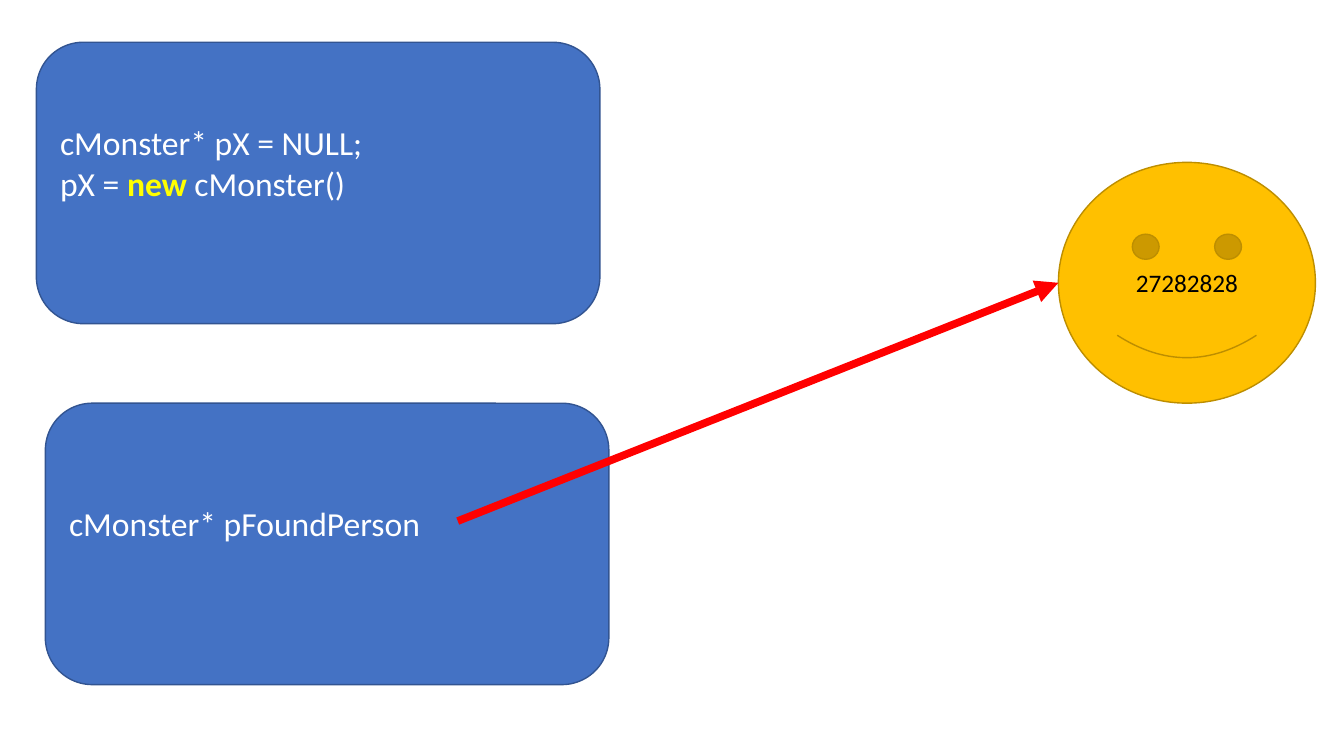
from lxml.etree import SubElement
from pptx import Presentation
from pptx.dml.color import RGBColor
from pptx.enum.shapes import MSO_CONNECTOR, MSO_SHAPE
from pptx.enum.text import MSO_ANCHOR, PP_ALIGN
from pptx.oxml.ns import qn
from pptx.util import Pt

WHITE, YELLOW, BLACK, RED = "FFFFFF", "FFFF00", "000000", "FF0000"
BLUE, DARK_BLUE, GOLD, DARK_GOLD = "4472C4", "325491", "FFC000", "BD8E00"
CODE_SIZE = 24
CODE_LIFT = 29.3  # one line of code, keeps the text above the middle


def set_color(color_format, hex_string):
    """Give a colour format the colour of a hex string."""
    color_format.rgb = RGBColor.from_string(hex_string)


def add_labelled_shape(kind, box, fill, outline, lines, size, alignment, lift):
    """Add a filled shape whose lines are lists of (text, colour, bold)."""
    shape = slide.shapes.add_shape(kind, *[Pt(length) for length in box])
    shape.shadow.inherit = False
    shape.fill.solid()
    set_color(shape.fill.fore_color, fill)
    set_color(shape.line.color, outline)
    shape.line.width = Pt(1)
    text_frame = shape.text_frame
    text_frame.word_wrap = True
    text_frame.vertical_anchor = MSO_ANCHOR.MIDDLE
    text_frame.margin_bottom = Pt(3.6 + lift)
    for index, line in enumerate(lines):
        paragraph = text_frame.add_paragraph() if index else text_frame.paragraphs[0]
        paragraph.alignment = alignment
        for text, color, bold in line:
            run = paragraph.add_run()
            run.text = text
            run.font.name = "Calibri"
            run.font.size = Pt(size)
            run.font.bold = bold
            set_color(run.font.color, color)
    return shape


presentation = Presentation()
presentation.slide_width, presentation.slide_height = Pt(960), Pt(540)
slide = presentation.slides.add_slide(presentation.slide_layouts[6])

# Code boxes
creation_code = [
    [("cMonster* pX = NULL;", WHITE, False)],
    [("pX = ", WHITE, False), ("new ", YELLOW, True), ("cMonster()", WHITE, False)],
]
found_code = [[("cMonster* pFoundPerson", WHITE, False)]]
for left, top, code in [(26, 30.2, creation_code), (32.4, 288, found_code)]:
    add_labelled_shape(MSO_SHAPE.ROUNDED_RECTANGLE, (left, top, 402.5, 201), BLUE,
                       DARK_BLUE, code, CODE_SIZE, PP_ALIGN.LEFT, CODE_LIFT)

# Monster object with its address
monster = add_labelled_shape(MSO_SHAPE.SMILEY_FACE, (756, 116, 183.6, 172), GOLD,
                             DARK_GOLD, [[("27282828", BLACK, False)]], 18,
                             PP_ALIGN.CENTER, 0)

# Pointer from the variable to the monster
pointer = slide.shapes.add_connector(
    MSO_CONNECTOR.STRAIGHT, Pt(327), Pt(372.2),
    monster.left, monster.top + monster.height // 2)
set_color(pointer.line.color, RED)
pointer.line.width = Pt(5.5)
SubElement(pointer.line._get_or_add_ln(), qn("a:tailEnd"), type="triangle")
SubElement(pointer._element.spPr, qn("a:effectLst"))

presentation.save("out.pptx")
